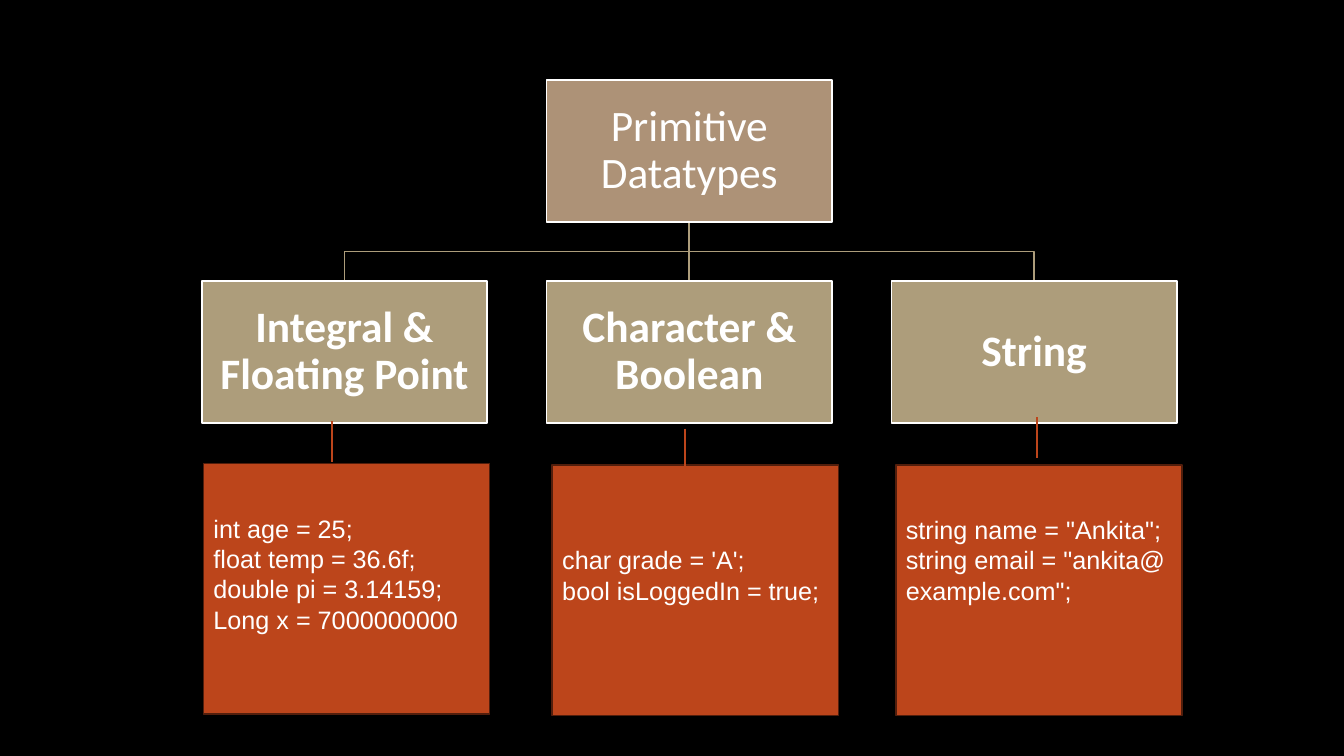
from pptx import Presentation
from pptx.dml.color import RGBColor as Rgb
from pptx.enum.shapes import MSO_CONNECTOR as Conn, MSO_SHAPE as Shape
from pptx.enum.text import MSO_ANCHOR as Anchor, PP_ALIGN as Align
from pptx.oxml.ns import qn
from pptx.util import Cm, Pt
from lxml.etree import SubElement

ROOT = "Primitive Datatypes"
KINDS = ["Integral & Floating Point", "Character & Boolean", "String"]
# Code lines, left and top of each note, lines of space kept below the code
NOTES = [
    (["int age = 25;", "float temp = 36.6f;", "double pi = 3.14159;",
      "Long x = 7000000000"], 5.13, 11.68, 1),
    (["char grade = 'A';", "bool isLoggedIn = true;"], 13.92, 11.71, 1),
    (['string name = "Ankita";', 'string email = "ankita@example.com";'],
     22.58, 11.71, 2),
]
LINKS = [(8.36, 10.62), (17.27, 10.8), (26.14, 10.52)]

THEME = {
    "back": "000000", "text": "FFFFFF", "edge": "FFFFFF",
    "root": "AD9277", "kind": "AD9D7B", "tree": "AD9D7B",
    "note": "BC451B", "rim": "521E0C", "link": "BC451B",
    "head": ("Calibri", 31), "code": ("Arial", 18), "line": 1.25,
}

WIDTH, HEIGHT = 33.87, 19.05
MID, PITCH = 17.37, 8.69
BOX_W, BOX_H = 7.19, 3.58
ROOT_TOP, KIND_TOP = 2.01, 7.09
NOTE_W, NOTE_H = 7.21, 6.32
LINK_H, ROW = 1.02, 0.76


def color(name):
    return Rgb.from_string(THEME[name])


def stroke(item, name):
    """Set the line and remove the shadow."""
    item.line.color.rgb = color(name)
    item.line.width = Pt(THEME["line"])


def box(slide, area, lines, fill, edge, face, frame, para, bold=False):
    item = slide.shapes.add_shape(Shape.RECTANGLE, *map(Cm, area))
    item.shadow.inherit = False
    item.fill.solid()
    item.fill.fore_color.rgb = color(fill)
    stroke(item, edge)
    text = item.text_frame
    for key, value in frame.items():
        setattr(text, key, value)
    for n, line in enumerate(lines):
        part = text.add_paragraph() if n else text.paragraphs[0]
        for key, value in para.items():
            setattr(part, key, value)
        run = part.add_run()
        run.text = line
        name, size = THEME[face]
        font = {"name": name, "size": Pt(size), "bold": bold}
        for key, value in font.items():
            setattr(run.font, key, value)
        run.font.color.rgb = color("text")


def join(slide, x, top, end, name):
    """Draw an upright line."""
    item = slide.shapes.add_connector(
        Conn.STRAIGHT, Cm(x), Cm(top), Cm(x), Cm(end))
    stroke(item, name)
    SubElement(item._element.spPr, qn("a:effectLst"))


def branch(slide, x, top, end):
    """Draw a bent line from the root down to a side box."""
    bend = (top + end) / 2
    pen = slide.shapes.build_freeform(Cm(MID), Cm(top))
    pen.add_line_segments(
        [(Cm(a), Cm(b)) for a, b in ((MID, bend), (x, bend), (x, end))],
        close=False)
    item = pen.convert_to_shape()
    item.shadow.inherit = False
    item.fill.background()
    stroke(item, "tree")


def tree(slide):
    mids = [MID + PITCH * n for n in (-1, 0, 1)]
    base = ROOT_TOP + BOX_H
    branch(slide, mids[2], base, KIND_TOP)
    join(slide, MID, base, KIND_TOP, "tree")
    branch(slide, mids[0], base, KIND_TOP)
    pad = Cm(0.05)
    frame = {"word_wrap": True, "vertical_anchor": Anchor.MIDDLE,
             "margin_left": pad, "margin_right": pad,
             "margin_top": pad, "margin_bottom": pad}
    para = {"alignment": Align.CENTER, "line_spacing": 0.9}
    heads = [(ROOT, MID, ROOT_TOP, "root")]
    heads += [(kind, x, KIND_TOP, "kind") for kind, x in zip(KINDS, mids)]
    for text, x, top, fill in heads:
        area = (x - BOX_W / 2, top, BOX_W, BOX_H)
        box(slide, area, [text], fill, "edge", "head", frame, para,
            bold=fill == "kind")


def notes(slide):
    for lines, left, top, gap in NOTES:
        frame = {"word_wrap": True, "vertical_anchor": Anchor.MIDDLE,
                 "margin_bottom": Cm(0.13 + gap * ROW)}
        # Hard spaces keep each code line whole until it fills the box
        code = [line.replace(" ", chr(160)) for line in lines]
        box(slide, (left, top, NOTE_W, NOTE_H), code, "note", "rim", "code",
            frame, {"alignment": Align.LEFT})
    for x, top in LINKS:
        join(slide, x, top, top + LINK_H, "link")


def main():
    deck = Presentation()
    deck.slide_width, deck.slide_height = Cm(WIDTH), Cm(HEIGHT)
    slide = deck.slides.add_slide(deck.slide_layouts[6])
    slide.background.fill.solid()
    slide.background.fill.fore_color.rgb = color("back")
    tree(slide)
    notes(slide)
    deck.save("out.pptx")


if __name__ == "__main__":
    main()
